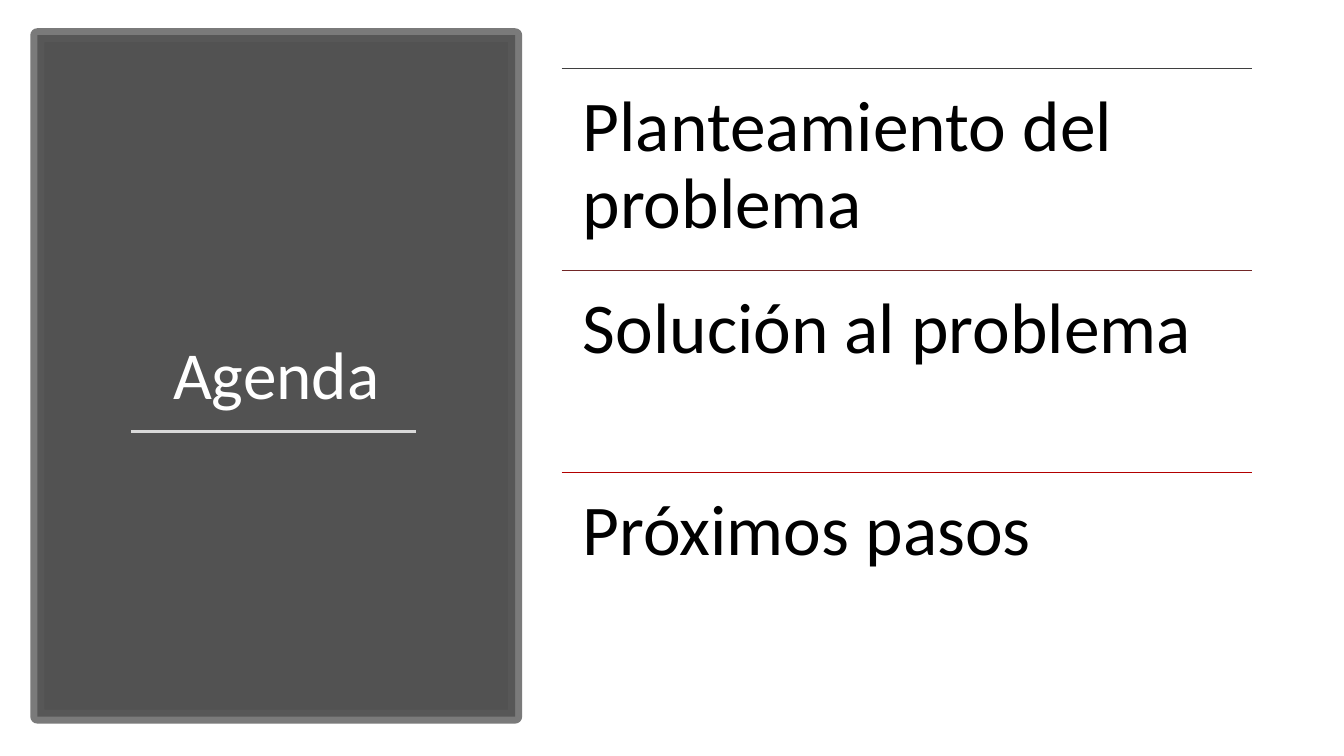
from lxml.etree import SubElement
from pptx import Presentation
from pptx.dml.color import RGBColor
from pptx.enum.shapes import MSO_CONNECTOR, MSO_SHAPE
from pptx.enum.text import MSO_ANCHOR, MSO_AUTO_SIZE, PP_ALIGN
from pptx.oxml.ns import qn
from pptx.util import Inches, Pt

FONT = "Calibri"
COLORS = {
    "panel": "404040",
    "border": "595959",
    "title": "FFFFFF",
    "underline": "D9D9D9",
    "text": "000000",
}
AGENDA = [
    ("Planteamiento del problema", "3F3F3F"),
    ("Solución al problema", "722626"),
    ("Próximos pasos", "B20000"),
]
LIST_LEFT, LIST_TOP, LIST_WIDTH, ROW_HEIGHT = 5.57, 0.68, 6.85, 2.005


def set_opacity(fill, percent):
    """Make a solid fill partly transparent."""
    color = fill._xPr.find(qn("a:solidFill"))[0]
    SubElement(color, qn("a:alpha"), val=str(percent * 1000))


def add_panel(page, left, top, width, height):
    """Add the dark bordered panel behind the title."""
    panel = page.shapes.add_shape(
        MSO_SHAPE.RECTANGLE, Inches(left), Inches(top), Inches(width), Inches(height))
    panel.shadow.inherit = False
    panel.line.width = Pt(10)
    for fill, color, percent in ((panel.fill, "panel", 90), (panel.line.fill, "border", 80)):
        fill.solid()
        fill.fore_color.rgb = RGBColor.from_string(COLORS[color])
        set_opacity(fill, percent)
    # The panel goes behind the title placeholder.
    page.shapes._spTree.insert(2, panel._element)


def add_rule(page, left, top, width, color, weight):
    """Add a horizontal line without a shadow."""
    rule = page.shapes.add_connector(
        MSO_CONNECTOR.STRAIGHT, Inches(left), Inches(top), Inches(left + width), Inches(top))
    rule.line.color.rgb = RGBColor.from_string(color)
    rule.line.width = Pt(weight)
    SubElement(rule._element.spPr, qn("a:effectLst"))


def write_text(frame, text, size, color, align):
    """Write one formatted paragraph in a text frame."""
    frame.word_wrap = True
    frame.auto_size = MSO_AUTO_SIZE.NONE
    para = frame.paragraphs[0]
    para.alignment = align
    para.line_spacing = 0.9
    span = para.add_run()
    span.text = text
    span.font.name = FONT
    span.font.size = Pt(size)
    span.font.color.rgb = RGBColor.from_string(color)


def place_title(page, text, left, top, width, height):
    """Move the title placeholder and fill it."""
    title = page.shapes.title
    title.left, title.top = Inches(left), Inches(top)
    title.width, title.height = Inches(width), Inches(height)
    title.text_frame.vertical_anchor = MSO_ANCHOR.BOTTOM
    write_text(title.text_frame, text, 48, COLORS["title"], PP_ALIGN.CENTER)


def add_agenda_row(page, index, text, rule_color):
    """Add one agenda entry with the rule above it."""
    top = LIST_TOP + index * ROW_HEIGHT
    add_rule(page, LIST_LEFT, top, LIST_WIDTH, rule_color, 1)
    box = page.shapes.add_textbox(
        Inches(LIST_LEFT), Inches(top), Inches(LIST_WIDTH), Inches(ROW_HEIGHT))
    frame = box.text_frame
    frame.margin_left = frame.margin_right = Inches(0.21)
    frame.margin_top = frame.margin_bottom = Inches(0.21)
    write_text(frame, text, 51, COLORS["text"], PP_ALIGN.LEFT)


def main():
    """Build the agenda slide."""
    deck = Presentation()
    deck.slide_width, deck.slide_height = Inches(13.33), Inches(7.5)
    page = deck.slides.add_slide(deck.slide_layouts[5])
    add_panel(page, 0.37, 0.35, 4.74, 6.76)
    place_title(page, "Agenda", 0.74, 1, 4, 3.16)
    add_rule(page, 1.3, 4.28, 2.83, COLORS["underline"], 1.75)
    for index, (text, rule_color) in enumerate(AGENDA):
        add_agenda_row(page, index, text, rule_color)
    deck.save("out.pptx")


main()
